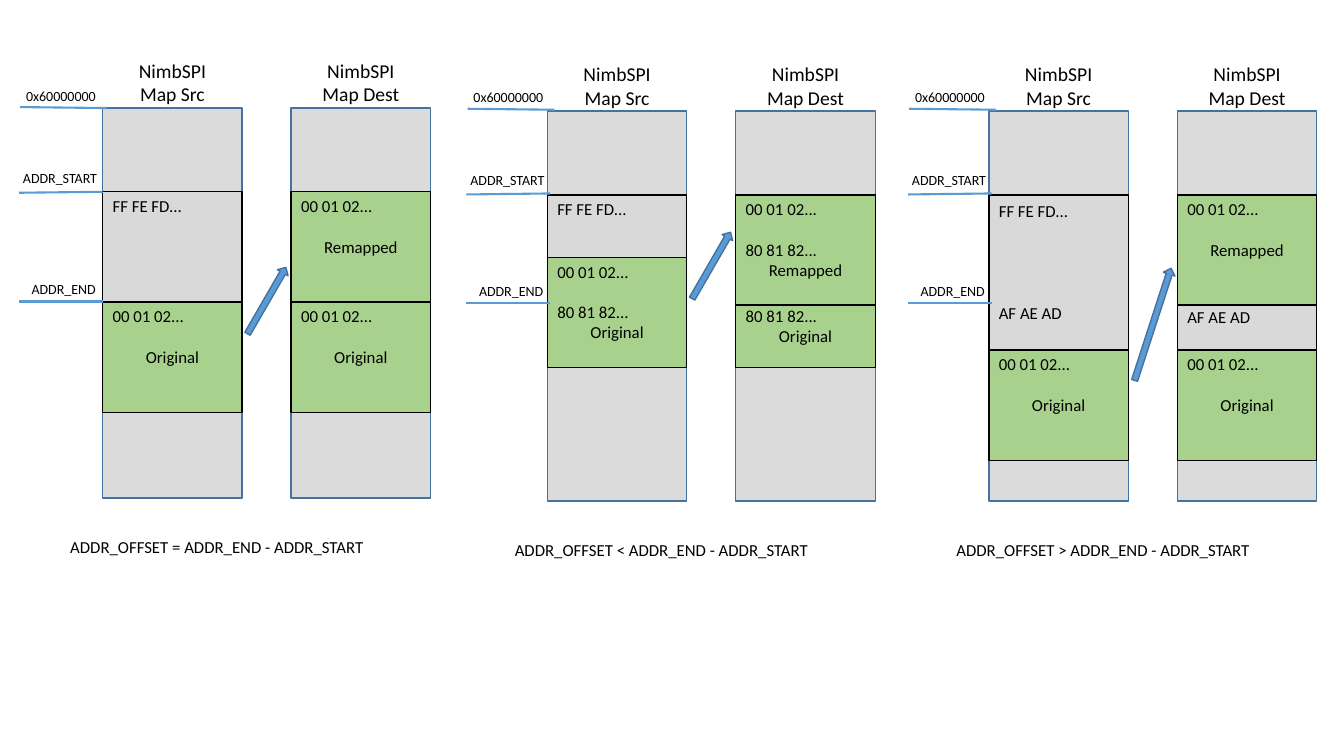
"""Build a slide of three flash remapping cases, each a source and a target map."""
from dataclasses import dataclass

from pptx import Presentation
from pptx.dml.color import RGBColor
from pptx.enum import shapes as es, text as et
from pptx.oxml import xmlchemy as xc
from pptx.shapes.autoshape import Shape
from pptx.text.text import Font
from pptx.util import Pt

BLACK = RGBColor(0x00, 0x00, 0x00)
GREY = RGBColor(0xDB, 0xDB, 0xDB)
DIM = RGBColor(0xD9, 0xD9, 0xD9)
GREEN = RGBColor(0xA9, 0xD1, 0x8E)
BLUE = RGBColor(0x5B, 0x9B, 0xD5)
NAVY = RGBColor(0x43, 0x73, 0x9E)

WIDE, TALL, STEP = 99.6, 278.6, 134.6
HEAD, SPAN = 59.8, 78.8
ROW = 14.65
BOX = 35.3


@dataclass(frozen=True)
class Note:
    row: int
    text: str
    mid: bool = False


@dataclass(frozen=True)
class Block:
    col: int
    top: float
    high: float
    fill: RGBColor
    notes: tuple[Note, ...]


@dataclass(frozen=True)
class Mark:
    text: str
    x: float
    y: float
    wide: float
    start: float
    end: float
    line: float
    tilt: float


@dataclass(frozen=True)
class Case:
    left: float
    top: float
    shift: float
    sign: str
    mid: float
    size: float
    turn: int
    blocks: tuple[Block, ...]


FIRST = Note(0, "00 01 02...")
ERASED = Note(0, "FF FE FD...")
LATE = Note(2, "80 81 82...")
END = HEAD + SPAN
LESS, MORE = 44.7, 110.9


def full(col: int, top: float, name: str) -> Block:
    """Return a green block with its first bytes and a name."""
    return Block(col, top, SPAN, GREEN, (FIRST, Note(2, name, True)))


def split(col: int, top: float, name: str) -> Block:
    """Return a green block with early and late bytes and a name."""
    return Block(col, top, SPAN, GREEN, (FIRST, LATE, Note(3, name, True)))


CASES = (
    Case(73.4, 77.2, 0, "=", 137.5, 54.7, 300, (
        full(0, END, "Original"),
        Block(0, HEAD, SPAN, DIM, (ERASED,)),
        full(1, HEAD, "Remapped"),
        full(1, END, "Original"))),
    Case(391, 79.4, 2, "<", 110.2, 54.7, 300, (
        Block(0, HEAD, SPAN, DIM, (ERASED,)),
        split(1, HEAD, "Remapped"),
        Block(1, END, LESS, GREEN,
              (Note(0, LATE.text), Note(1, "Original", True))),
        split(0, HEAD + LESS, "Original"))),
    Case(706.4, 79.4, 2, ">", 152.3, 84.2, 288, (
        Block(0, HEAD, MORE, DIM, (ERASED, Note(5, "AF AE AD"))),
        full(1, HEAD, "Remapped"),
        full(1, HEAD + MORE, "Original"),
        full(0, HEAD + MORE, "Original"),
        Block(1, END, MORE - SPAN, DIM, (Note(0, "AF AE AD"),)))),
)

MARKS = (
    Mark("0x60000000", -68.4, -26.6, 77, 3, -59, 0, -0.7),
    Mark("ADDR_START", -73.4, 32.4, 85.7, 0, -59.8, 59.8, 0.7),
    Mark("ADDR_END", -70.8, 111.6, 85.7, 0, -59.8, 138.2, 0),
)

deck = Presentation()
deck.slide_width, deck.slide_height = Pt(960), Pt(540)
slide = deck.slides.add_slide(deck.slide_layouts[6])


def label(text: str, x: float, y: float, wide: float, size: float) -> None:
    """Add a centred text box."""
    box = slide.shapes.add_textbox(Pt(x), Pt(y), Pt(wide), Pt(BOX))
    frame = box.text_frame
    frame.word_wrap = True
    frame.vertical_anchor = et.MSO_ANCHOR.MIDDLE
    frame.text = text
    para = frame.paragraphs[0]
    para.alignment = et.PP_ALIGN.CENTER
    style(para.runs[0].font, size)


def style(font: Font, size: float) -> None:
    """Give a font its face, size and colour."""
    font.name, font.size = "Calibri", Pt(size)
    font.color.rgb = BLACK


def shape(kind: es.MSO_SHAPE, x: float, y: float, wide: float, high: float,
          fill: RGBColor, line: RGBColor) -> Shape:
    """Add a filled and outlined shape without a shadow."""
    item = slide.shapes.add_shape(kind, Pt(x), Pt(y), Pt(wide), Pt(high))
    item.shadow.inherit = False
    item.fill.solid()
    item.fill.fore_color.rgb = fill
    item.line.color.rgb = line
    item.line.width = Pt(1)
    return item


def draw_block(case: Case, block: Block) -> None:
    """Add a memory block, with its notes on a grid of text rows."""
    item = shape(es.MSO_SHAPE.RECTANGLE, case.left + block.col * STEP,
                 case.top + block.top, WIDE, block.high, block.fill, BLACK)
    frame = item.text_frame
    frame.word_wrap = True
    frame.vertical_anchor = et.MSO_ANCHOR.TOP
    frame.margin_top = Pt(block.high % ROW / 2)
    frame.margin_bottom = 0
    frame.text = "\n".join(note.text for note in block.notes)
    last = -1
    for para, note in zip(frame.paragraphs, block.notes):
        para.alignment = (et.PP_ALIGN.CENTER if note.mid
                          else et.PP_ALIGN.LEFT)
        para.space_before = Pt((note.row - last - 1) * ROW)
        style(para.runs[0].font, 12)
        last = note.row


def draw_mark(case: Case, mark: Mark) -> None:
    """Add an address label and its line."""
    x, y = case.left + case.shift, case.top - case.shift / 2
    label(mark.text, x + mark.x, y + mark.y, mark.wide, 10)
    level = y + mark.line
    line = slide.shapes.add_connector(
        es.MSO_CONNECTOR.STRAIGHT, Pt(x + mark.start), Pt(level),
        Pt(x + mark.end), Pt(level + mark.tilt))
    line.line.color.rgb = BLUE
    line.line.width = Pt(1.5)
    line._element.spPr.append(xc.OxmlElement("a:effectLst"))


def draw_case(case: Case) -> None:
    """Add both maps of a case, with marks, arrow and caption."""
    for col, name in enumerate(("Src", "Dest")):
        x = case.left + col * STEP
        shape(es.MSO_SHAPE.RECTANGLE, x, case.top, WIDE, TALL, GREY, NAVY)
        label(f"NimbSPI Map {name}", x + 11.3, case.top - 36, 77, 14)
    for block in case.blocks:
        draw_block(case, block)
    for mark in MARKS:
        draw_mark(case, mark)
    mid = case.left + (WIDE + STEP) / 2
    arrow = shape(es.MSO_SHAPE.RIGHT_ARROW, mid - case.size / 2,
                  case.top + case.mid - 4.4, case.size, 8.8, BLUE, NAVY)
    arrow.rotation = case.turn
    label(f"ADDR_OFFSET {case.sign} ADDR_END - ADDR_START",
          case.left - 41.2, case.top + 295.8, 245.5, 12)


for case in CASES:
    draw_case(case)

deck.save("out.pptx")
